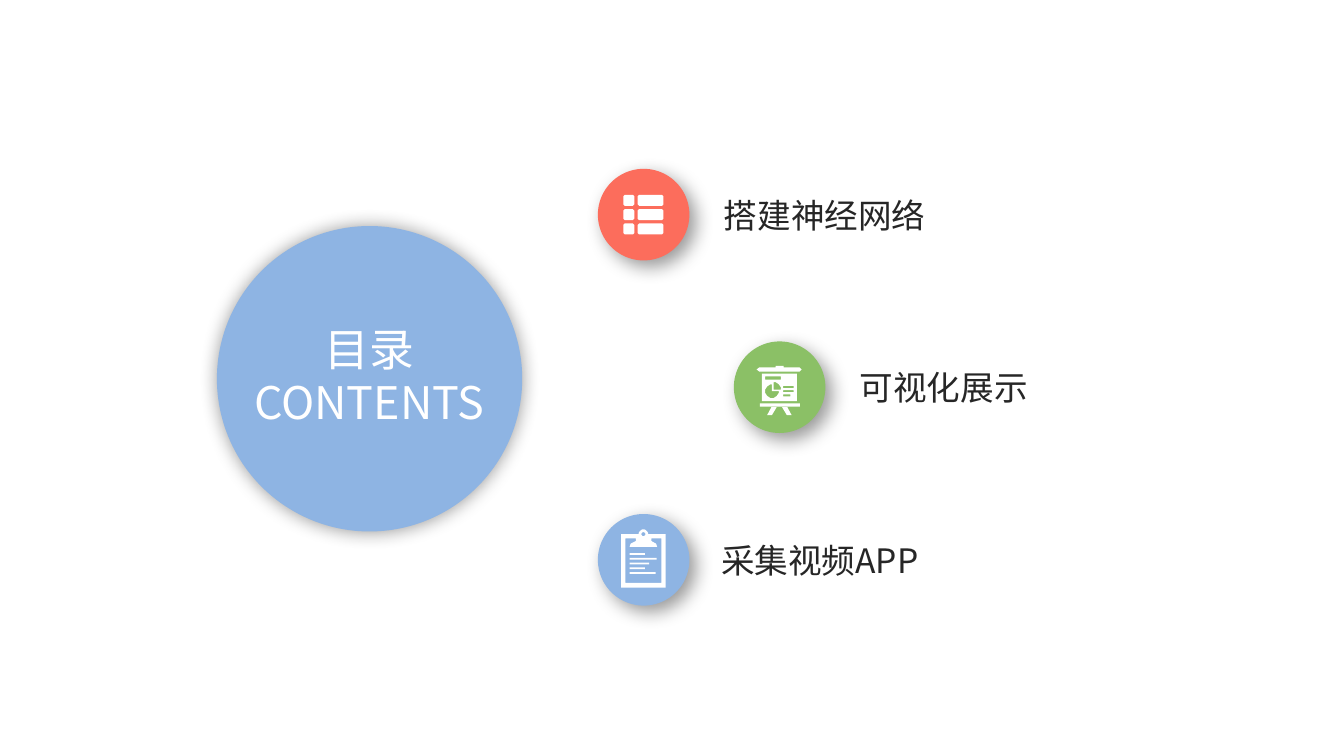
from dataclasses import dataclass
from math import cos, radians, sin

from pptx import Presentation
from pptx.dml.color import RGBColor
from pptx.enum.text import MSO_ANCHOR, MSO_AUTO_SIZE, PP_ALIGN
from pptx.enum.shapes import MSO_SHAPE
from pptx.oxml import parse_xml
from pptx.util import Cm, Pt


@dataclass(frozen=True)
class Theme:
    font: str = "Noto Sans CJK SC"
    red: str = "FC6D5C"
    green: str = "8BC066"
    blue: str = "8EB4E3"
    white: str = "FFFFFF"
    ink: str = "262626"
    title_size: int = 24
    label_size: int = 18


theme = Theme()
NS = 'xmlns:a="http://schemas.openxmlformats.org/drawingml/2006/main"'


def add_disc(shapes, x, y, size, color, distance):
    """Filled circle with a soft shadow, distance in points."""
    sp = shapes.add_shape(MSO_SHAPE.OVAL, Cm(x), Cm(y), Cm(size), Cm(size))
    sp.fill.solid()
    sp.fill.fore_color.rgb = RGBColor.from_string(color)
    sp.line.fill.background()
    angle = 45 * 60000 if distance else 0
    sp._element.spPr.append(parse_xml(
        f'<a:effectLst {NS}><a:outerShdw blurRad="{Pt(10)}" dist="{Pt(distance)}" '
        f'dir="{angle}" algn="ctr" rotWithShape="0"><a:srgbClr val="000000">'
        '<a:alpha val="40000"/></a:srgbClr></a:outerShdw></a:effectLst>'))


def add_run(p, text, size, color):
    r = p.add_run()
    r.text = text
    r.font.name = theme.font
    r.font.size = Pt(size)
    r.font.color.rgb = RGBColor.from_string(color)
    r._r.get_or_add_rPr().append(parse_xml(f'<a:ea {NS} typeface="{theme.font}"/>'))


# Icon outlines, in hundredths of a centimetre from the corner of the disc
box = lambda x, y, w, h: [(x, y), (x + w, y), (x + w, y + h), (x, y + h)]
arc = lambda x, y, r, start, end: [
    (x + r * cos(radians(a)), y + r * sin(radians(a))) for a in range(start, end + 1, 15)]
tile = lambda x, y, w, h, c: [
    (x + c, y), (x + w - c, y), (x + w, y + c), (x + w, y + h - c),
    (x + w - c, y + h), (x + c, y + h), (x, y + h - c), (x, y + c)]

list_icon = [tile(x, y, w, 21, 3) for x, w in ((48, 21), (75, 49)) for y in (49, 76, 103)]

board_icon = [
    [(43, 53), (48, 49), (79, 49), (79, 46), (94, 46), (94, 49),
     (124, 49), (128, 53), (124, 57), (48, 57)],            # roller
    box(53, 61, 66, 52),                                    # screen
    box(59, 66, 30, 6),                                     # heading
    [(72, 94)] + arc(72, 94, 13, 0, 270),                   # pie
    [(75, 91)] + arc(75, 91, 14, 270, 360),                 # slice
    *[box(93, y, w, 4) for y, w in ((84, 20), (92, 20), (100, 14))],
    box(49, 117, 76, 6),                                    # foot rail
    [(71, 124), (81, 124), (72, 139), (63, 139)],           # legs
    [(91, 124), (101, 124), (109, 139), (100, 139)],
]

clipboard_icon = [
    [(44, 38)] + arc(86, 38, 9, 180, 360) + [(128, 38), (128, 139), (44, 139)],
    box(52, 46, 68, 84),                                    # sheet
    [(72, 46), (101, 46), (101, 51), (110, 56), (112, 62),
     (60, 62), (62, 56), (72, 51)],                         # clip
    arc(86, 38, 4, 0, 345),                                 # clip hole
    *[box(60, 74 + 9 * i, w, 3) for i, w in enumerate((29, 51, 37, 29, 49))],
]

prs = Presentation()
prs.slide_width, prs.slide_height = Cm(25.4), Cm(14.28)
s = prs.slides.add_slide(prs.slide_layouts[5])

# Agenda items: text, colour, icon, disc left, label offset, label width
items = [
    ("搭建神经网络", theme.red, list_icon, 11.3, 2.13, 4.37),
    ("可视化展示", theme.green, board_icon, 13.87, 2.13, 3.71),
    ("采集视频APP", theme.blue, clipboard_icon, 11.3, 2.08, 4.32),
]
for i, (text, color, icon, x, offset, width) in enumerate(items):
    y = 3.19 + 3.26 * i
    group = s.shapes.add_group_shape().shapes

    tb = group.add_textbox(Cm(x + offset), Cm(y + 0.36), Cm(width), Cm(1.02))
    tf = tb.text_frame
    tf.word_wrap = True
    tf.auto_size = MSO_AUTO_SIZE.SHAPE_TO_FIT_TEXT
    add_run(tf.paragraphs[0], text, theme.label_size, theme.ink)

    add_disc(group, x, y, 1.73, color, 5)

    fb = group.build_freeform(*icon[0][0], scale=Cm(0.01))
    fb.add_line_segments(icon[0][1:])
    for outline in icon[1:]:
        fb.move_to(*outline[0])
        fb.add_line_segments(outline[1:])
    sp = fb.convert_to_shape(Cm(x), Cm(y))
    sp.shadow.inherit = False
    sp.fill.solid()
    sp.fill.fore_color.rgb = RGBColor.from_string(theme.white)
    sp.line.fill.background()

# Title on the large disc
add_disc(s.shapes, 4.1, 4.27, 5.77, theme.blue, 0)
title = s.shapes.title
title.left, title.top, title.width, title.height = Cm(4.42), Cm(5.94), Cm(5.11), Cm(2.31)
s.shapes._spTree.append(title._element)  # bring to front
tf = title.text_frame
tf.word_wrap = True
tf.auto_size = MSO_AUTO_SIZE.NONE
tf.vertical_anchor = MSO_ANCHOR.TOP
for i, text in enumerate(("目录", "CONTENTS")):
    p = tf.add_paragraph() if i else tf.paragraphs[0]
    p.alignment = PP_ALIGN.CENTER
    add_run(p, text, theme.title_size, theme.white)

prs.save("out.pptx")
